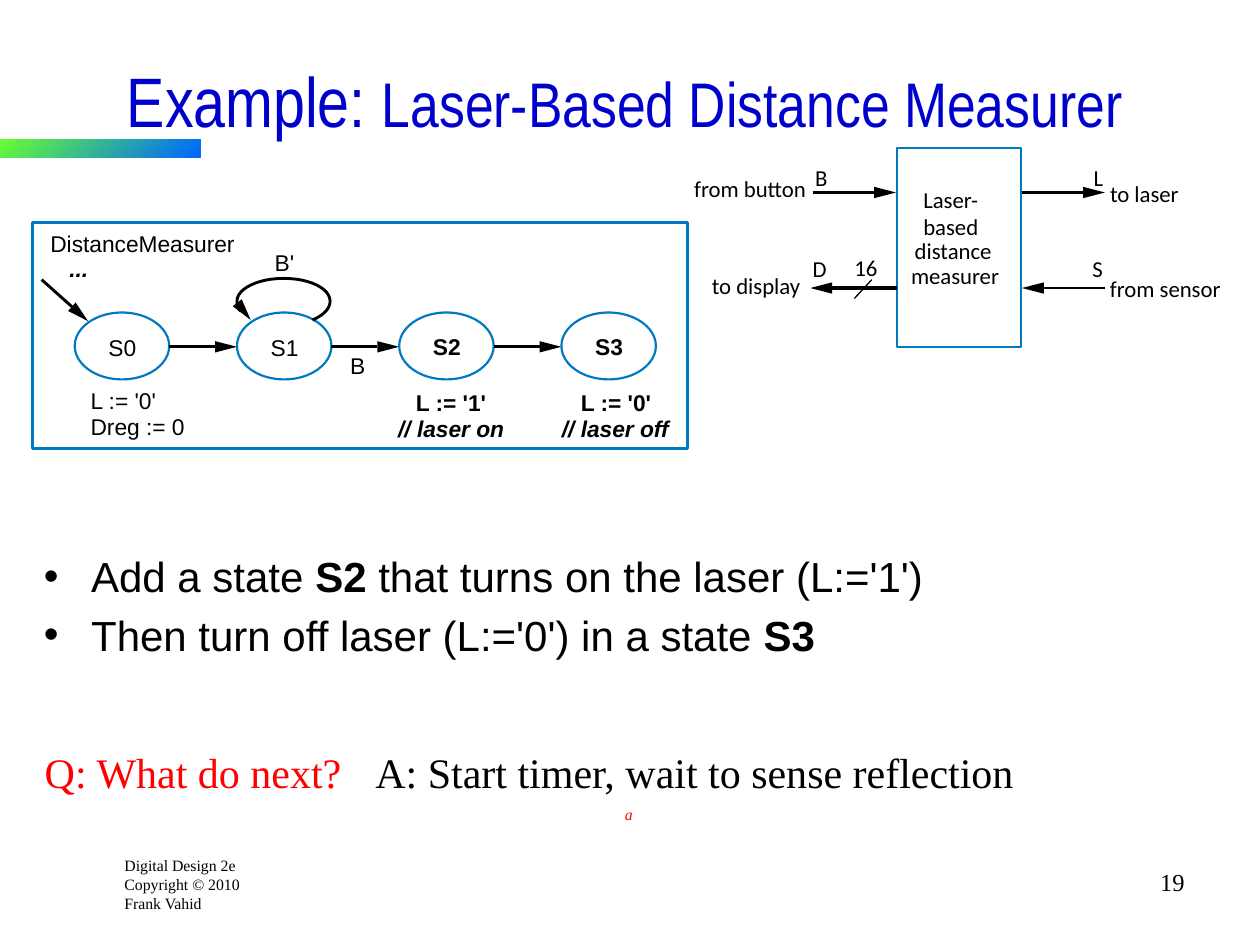
from math import hypot

from lxml.etree import SubElement
from pptx import Presentation
from pptx.dml.color import RGBColor
from pptx.enum.shapes import MSO_CONNECTOR, MSO_SHAPE
from pptx.enum.text import MSO_ANCHOR, MSO_AUTO_SIZE, PP_ALIGN
from pptx.oxml.ns import qn
from pptx.util import Pt

COLORS = {
    "black": "000000",
    "title": "0000CC",
    "outline": "0079C1",
    "question": "FF0000",
    "bar_start": "66FF33",
    "bar_end": "0066FF",
}


def color(name):
    return RGBColor.from_string(COLORS[name])


def bezier(start, first, second, end, steps=12):
    """Points along a cubic curve, without its start."""
    points = []
    for step in range(1, steps + 1):
        t = step / steps
        weights = ((1 - t) ** 3, 3 * t * (1 - t) ** 2, 3 * t * t * (1 - t), t ** 3)
        points.append(tuple(
            sum(w * p[axis] for w, p in zip(weights, (start, first, second, end)))
            for axis in (0, 1)))
    return points


class SlideBuilder:
    """Draws elements on one slide; all lengths are points."""

    head_length = 12.5
    head_width = 6.5

    def __init__(self, slide):
        self.slide = slide
        self.shapes = slide.shapes

    def style(self, span, font, size, tint="black", bold=False, italic=False):
        span.font.name = font
        span.font.size = Pt(size)
        span.font.bold = bold
        span.font.italic = italic
        span.font.color.rgb = color(tint)

    def title(self, left, top, width, height, spans):
        box = self.shapes.title
        box.left, box.top, box.width, box.height = map(Pt, (left, top, width, height))
        box.text_frame.vertical_anchor = MSO_ANCHOR.MIDDLE
        para = box.text_frame.paragraphs[0]
        para.alignment = PP_ALIGN.CENTER
        for text, size in spans:
            span = para.add_run()
            span.text = text
            self.style(span, "Arial Narrow", size, "title")

    def text(self, left, top, width, height, text, font="Times New Roman", size=9,
             tint="black", bold=False, italic=False, wrap=False, inset=True, align=None):
        box = self.shapes.add_textbox(Pt(left), Pt(top), Pt(width), Pt(height))
        frame = box.text_frame
        frame.word_wrap = wrap
        frame.auto_size = MSO_AUTO_SIZE.SHAPE_TO_FIT_TEXT
        if not inset:
            frame.margin_left = frame.margin_right = 0
            frame.margin_top = frame.margin_bottom = 0
        frame.text = text
        for para in frame.paragraphs:
            para.alignment = align
            for span in para.runs:
                self.style(span, font, size, tint, bold, italic)

    def label(self, left, top, width, text, font="Arial", height=15.8, **options):
        self.text(left, top, width, height, text, font, 13, inset=False, **options)

    def bullets(self, left, top, width, height, items):
        box = self.shapes.add_textbox(Pt(left), Pt(top), Pt(width), Pt(height))
        frame = box.text_frame
        frame.word_wrap = True
        for index, spans in enumerate(items):
            para = frame.paragraphs[0] if index == 0 else frame.add_paragraph()
            para.space_before = Pt(4.8)
            properties = para._p.get_or_add_pPr()
            properties.set("marL", str(Pt(27)))
            properties.set("indent", str(-Pt(27)))
            SubElement(properties, qn("a:buFont"), typeface="Arial")
            SubElement(properties, qn("a:buChar"), char="•")
            for text, bold in spans:
                span = para.add_run()
                span.text = text
                self.style(span, "Arial", 24, bold=bold)

    def outline(self, kind, left, top, width, height, weight):
        shape = self.shapes.add_shape(kind, Pt(left), Pt(top), Pt(width), Pt(height))
        shape.shadow.inherit = False
        shape.fill.background()
        shape.line.color.rgb = color("outline")
        shape.line.width = Pt(weight)

    def gradient_bar(self, left, top, width, height):
        bar = self.shapes.add_shape(
            MSO_SHAPE.RECTANGLE, Pt(left), Pt(top), Pt(width), Pt(height))
        bar.shadow.inherit = False
        bar.line.fill.background()
        bar.fill.gradient()
        bar.fill.gradient_angle = 315
        for stop, name in zip(bar.fill.gradient_stops, ("bar_start", "bar_end")):
            stop.color.rgb = color(name)

    def line(self, start, end, weight):
        connector = self.shapes.add_connector(
            MSO_CONNECTOR.STRAIGHT, *map(Pt, (*start, *end)))
        connector.line.color.rgb = color("black")
        connector.line.width = Pt(weight)
        SubElement(connector._element.spPr, qn("a:effectLst"))

    def freeform(self, points, closed):
        corners = [(Pt(x), Pt(y)) for x, y in points]
        builder = self.shapes.build_freeform(*corners[0], scale=1.0)
        builder.add_line_segments(corners[1:], close=closed)
        shape = builder.convert_to_shape()
        shape.shadow.inherit = False
        return shape

    def curve(self, points, weight):
        shape = self.freeform(points, closed=False)
        shape.fill.background()
        shape.line.color.rgb = color("black")
        shape.line.width = Pt(weight)

    def arrowhead(self, start, tip):
        """Long solid head at tip; returns the middle of its base."""
        dx, dy = tip[0] - start[0], tip[1] - start[1]
        length = hypot(dx, dy)
        dx, dy = dx / length, dy / length
        x, y = tip[0] - dx * self.head_length, tip[1] - dy * self.head_length
        half = self.head_width / 2
        head = self.freeform(
            [tip, (x - dy * half, y + dx * half), (x + dy * half, y - dx * half)], closed=True)
        head.fill.solid()
        head.fill.fore_color.rgb = color("black")
        head.line.fill.background()
        return x, y

    def arrow(self, start, tip, weight):
        self.line(start, self.arrowhead(start, tip), weight)


def main():
    deck = Presentation()
    deck.slide_width, deck.slide_height = Pt(720), Pt(540)
    page = SlideBuilder(deck.slides.add_slide(deck.slide_layouts[5]))

    # Footer, accent bar and page number
    page.text(64, 485.3, 80.6, 39.6, "Digital Design 2e\nCopyright © 2010\nFrank Vahid", wrap=True)
    page.gradient_bar(0, 79.6, 114.4, 10.4)
    page.text(534, 492, 150, 36, "19", size=14, wrap=True, align=PP_ALIGN.RIGHT)

    # Title, bullets, question and answer
    page.title(18, 24, 678, 66, [("Example: ", 40), ("Laser-Based Distance Measurer", 36)])
    page.bullets(18, 311, 657, 192, [
        [("Add a state ", False), ("S2", True), (" that turns on the laser (L:='1')", False)],
        [("Then turn off laser (L:='0') in a state ", False), ("S3", True)],
    ])
    page.text(18.5, 423, 184.3, 36, "Q: What do next?", size=24, tint="question")
    page.text(207.4, 423, 380.2, 36, "A: Start timer, wait to sense reflection", size=24)
    page.text(350, 456.5, 18.7, 18, "a", tint="question", italic=True)

    # Block diagram
    page.outline(MSO_SHAPE.RECTANGLE, 512.6, 84.6, 70.9, 113.8, 1.13)
    upper, lower = 110, 164.6
    page.arrow((464.4, upper), (512, upper), 1.5)
    page.arrow((583.9, upper), (631.4, upper), 1.5)
    page.arrow((631.4, lower), (584, lower), 1.5)
    page.arrow((512.6, lower), (463, lower), 2.25)
    page.line((498.2, 159.8), (488.2, 170.6), 0.75)
    page.label(527.6, 106.2, 36.7, "Laser-\nbased", "Calibri", height=31)
    for left, top, width, text in [
        (522.7, 135.4, 48.2, "distance"), (520.6, 149.8, 55.4, "measurer"),
        (488.2, 144.7, 14.4, "16"),
        (396.7, 100, 66.2, "from button"), (406.8, 155.5, 54.7, "to display"),
        (634.3, 102.7, 42.5, "to laser"), (634.3, 157, 69.1, "from sensor"),
        (465.8, 93.6, 8.6, "B"), (625, 93.6, 7.2, "L"),
        (464.4, 145.4, 9.4, "D"), (624.2, 145.4, 8.6, "S"),
    ]:
        page.label(left, top, width, text, "Calibri")

    # State machine: frame, states and transitions
    page.outline(MSO_SHAPE.RECTANGLE, 18.7, 127.4, 374.4, 128.9, 1.63)
    first, step, width, middle = 42.7, 92.7, 54, 198.2
    for index in range(4):
        left = first + index * step
        bold = index >= 2
        page.outline(MSO_SHAPE.OVAL, left, 178.6, width, 38.2, 1.25)
        page.label(left + 19.3, 190.1 if bold else 190.8, 18, f"S{index}", bold=bold)
        if index < 3:
            page.arrow((left + width, middle), (left + step, middle), 1.63)
    page.arrow((23.8, 159.8), (50.4, 183.6), 1.63)

    # Loop on S1
    loop = [(137.5, 177.8)]
    for controls in [
        ((136.1, 176.4), (135.4, 174.2), (135.4, 172.1)),
        ((135.4, 164.9), (147.6, 159.1), (162, 159.1)),
        ((177.1, 159.1), (188.6, 164.9), (188.6, 172.1)),
        ((188.6, 176.4), (185, 180), (178.6, 182.9)),
    ]:
        loop += bezier(loop[-1], *controls)
    page.curve(loop, 1.63)
    page.arrowhead((135.4, 172.8), (143.3, 182.9))

    # Names, conditions and actions
    page.label(28.8, 131, 108, "DistanceMeasurer")
    page.label(39.6, 145.4, 12, "...", bold=True, italic=True)
    page.label(157, 142.2, 14, "B'")
    page.label(200, 200.9, 10, "B")
    page.label(51.8, 221, 40, "L := '0'")
    page.label(51.8, 235.8, 56, "Dreg := 0")
    for left, value, note_left, note in [
        (237.6, "1", 227.5, "// laser on"), (331.9, "0", 321.1, "// laser off"),
    ]:
        page.label(left, 222.2, 43, f"L := '{value}'", bold=True)
        page.label(note_left, 236.9, 64, note, bold=True, italic=True)

    deck.save("out.pptx")


if __name__ == "__main__":
    main()
